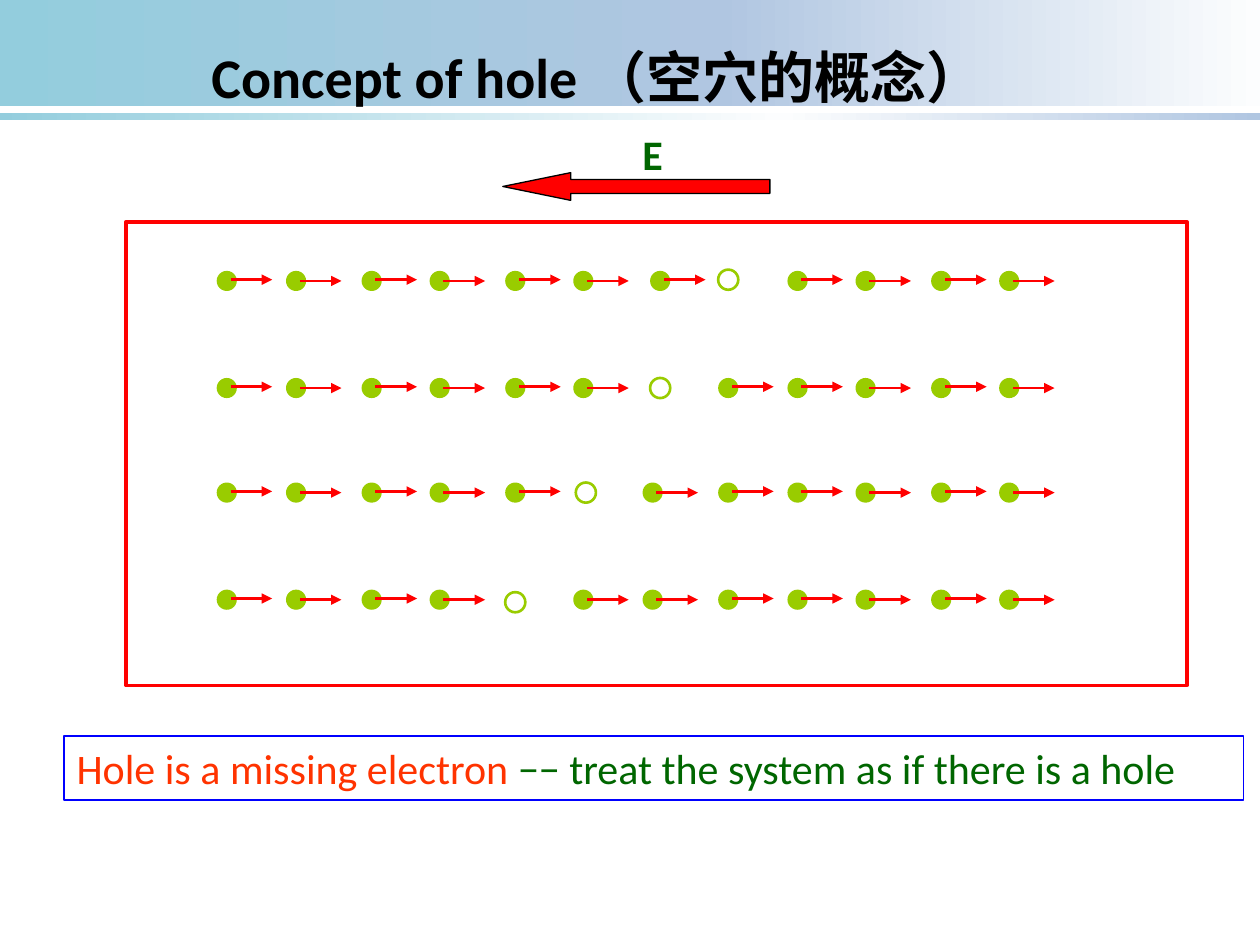
from lxml import etree
from pptx import Presentation
from pptx.dml.color import RGBColor
from pptx.enum.shapes import MSO_CONNECTOR, MSO_SHAPE
from pptx.enum.text import MSO_ANCHOR, PP_ALIGN
from pptx.oxml.ns import qn
from pptx.util import Inches, Pt

RECT, OVAL, LEFT_ARROW = MSO_SHAPE.RECTANGLE, MSO_SHAPE.OVAL, MSO_SHAPE.LEFT_ARROW
STRAIGHT = MSO_CONNECTOR.STRAIGHT
TOP, MIDDLE = MSO_ANCHOR.TOP, MSO_ANCHOR.MIDDLE
LEFT, CENTER = PP_ALIGN.LEFT, PP_ALIGN.CENTER

RED, LIME, GREEN, ORANGE = "FF0000", "99CC00", "006600", "FF3300"
BLUE, WHITE, BLACK = "0000FF", "FFFFFF", "000000"
LATIN, CHINESE = "Calibri", "Noto Sans CJK SC"

# Site positions, and how far below the dot's top its arrow lies
SITES = [(1.72, 0.07), (2.27, 0.08), (2.87, 0.07), (3.41, 0.08),
         (4.01, 0.07), (4.55, 0.08), (5.16, 0.07), (5.70, 0.07),
         (6.25, 0.07), (6.79, 0.08), (7.39, 0.07), (7.93, 0.08)]
# Row top, site of the hole, left and top of the hole
ROWS = [(2.15, 7, 5.70, 2.14), (3.00, 6, 5.16, 3.00),
        (3.83, 5, 4.57, 3.83), (4.68, 4, 4.01, 4.70)]


def color(value):
    return RGBColor.from_string(value)


class SlideBuilder:
    """Holds the style and the current page."""

    def __init__(self, page):
        self.page = page

    def shape(self, kind, left, top, width, height, fill=None, line=None,
              weight=1.5, parent=None):
        shapes = (parent or self.page).shapes
        shape = shapes.add_shape(kind, Inches(left), Inches(top),
                                 Inches(width), Inches(height))
        shape.shadow.inherit = False
        if fill:
            shape.fill.solid()
            shape.fill.fore_color.rgb = color(fill)
        else:
            shape.fill.background()
        if line:
            shape.line.color.rgb = color(line)
            shape.line.width = Pt(weight)
        else:
            shape.line.fill.background()
        return shape

    def band(self, left, top, width, height, stops):
        """Draw a bar with a left-to-right gradient of (percent, colour) stops."""
        bar = self.shape(RECT, left, top, width, height)
        bar.fill.gradient()
        bar.fill.gradient_angle = 0
        stop_list = bar.element.spPr.find(qn("a:gradFill")).find(qn("a:gsLst"))
        for stop in list(stop_list):
            stop_list.remove(stop)
        for percent, value in stops:
            stop = etree.SubElement(stop_list, qn("a:gs"), pos=str(percent * 1000))
            etree.SubElement(stop, qn("a:srgbClr"), val=value)

    def arrow(self, left, y, length, parent):
        arrow = parent.shapes.add_connector(STRAIGHT, Inches(left), Inches(y),
                                            Inches(left + length), Inches(y))
        arrow.line.color.rgb = color(RED)
        arrow.line.width = Pt(1.5)
        properties = arrow.element.spPr
        etree.SubElement(properties.find(qn("a:ln")), qn("a:tailEnd"), type="triangle")
        etree.SubElement(properties, qn("a:effectLst"))

    def fill_text(self, box, spans, size, bold=False, align=LEFT, anchor=TOP):
        """Fill a box with one paragraph of (text, colour, font) spans."""
        frame = box.text_frame
        frame.word_wrap = True
        frame.vertical_anchor = anchor
        para = frame.paragraphs[0]
        para.alignment = align
        for text, value, font in spans:
            span = para.add_run()
            span.text = text
            style = {"name": font, "size": Pt(size), "bold": bold}
            for key, setting in style.items():
                setattr(span.font, key, setting)
            span.font.color.rgb = color(value)
            etree.SubElement(span.font._element, qn("a:ea"), typeface=CHINESE)
        return para

    def text(self, left, top, width, height, spans, size, **layout):
        box = self.page.shapes.add_textbox(Inches(left), Inches(top),
                                           Inches(width), Inches(height))
        return self.fill_text(box, spans, size, **layout)

    def electron_row(self, top, hole, hole_left, hole_top):
        """Draw twelve sites: moving electrons, and a ring at the hole."""
        dot = 0.16
        row = self.page.shapes.add_group_shape()
        for site, (left, drop) in enumerate(SITES):
            if site == hole:
                self.shape(OVAL, hole_left, hole_top, dot, dot,
                           line=LIME, parent=row)
                continue
            if site == 6 and hole < site:  # this electron has moved on
                left, drop = 5.10, 0.08
            self.shape(OVAL, left, top, dot, dot, fill=LIME, parent=row)
            self.arrow(left + 0.11, top + drop, 0.33, row)


def main():
    deck = Presentation()
    deck.slide_width, deck.slide_height = Inches(10), Inches(7.5)
    builder = SlideBuilder(deck.slides.add_slide(deck.slide_layouts[6]))

    # Header bands
    builder.band(-0.02, 0.9, 10.02, 0.05,
                 [(0, "93CDDD"), (62, "FCFDFE"), (100, "B0C6E1")])
    builder.band(0, -0.02, 10, 0.86,
                 [(0, "93CDDD"), (57, "B0C6E1"), (100, "FCFDFE")])

    # Crystal with the hole moving left, row by row
    builder.shape(RECT, 1, 1.76, 8.42, 3.68, WHITE, RED, 2)
    for row in ROWS:
        builder.electron_row(*row)

    # Electric field
    field = builder.shape(LEFT_ARROW, 3.99, 1.37, 2.12, 0.22, RED, BLACK, 0.75)
    field.adjustments[0], field.adjustments[1] = 0.5, 2.45
    builder.text(5, 0.97, 0.49, 0.5, [("E", GREEN, LATIN)], 24, bold=True)

    # Conclusion
    note = builder.shape(RECT, 0.51, 5.84, 9.36, 0.51, line=BLUE, weight=1)
    builder.fill_text(note, [("Hole is a missing electron ", ORANGE, LATIN),
                             ("−− treat the system as if there is a hole", GREEN, LATIN)],
                      24, anchor=MIDDLE)

    # Title
    title = builder.text(0.72, 0.2, 8.04, 0.7,
                         [("Concept of hole （", BLACK, LATIN),
                          ("空穴的概念", BLACK, CHINESE),
                          ("）", BLACK, LATIN)],
                         32, bold=True, align=CENTER, anchor=MIDDLE)
    title.line_spacing = 1.2
    indent = Inches(0.38)
    properties = title._p.get_or_add_pPr()
    properties.set("marL", str(indent))
    properties.set("indent", str(-indent))

    deck.save("out.pptx")


if __name__ == "__main__":
    main()
